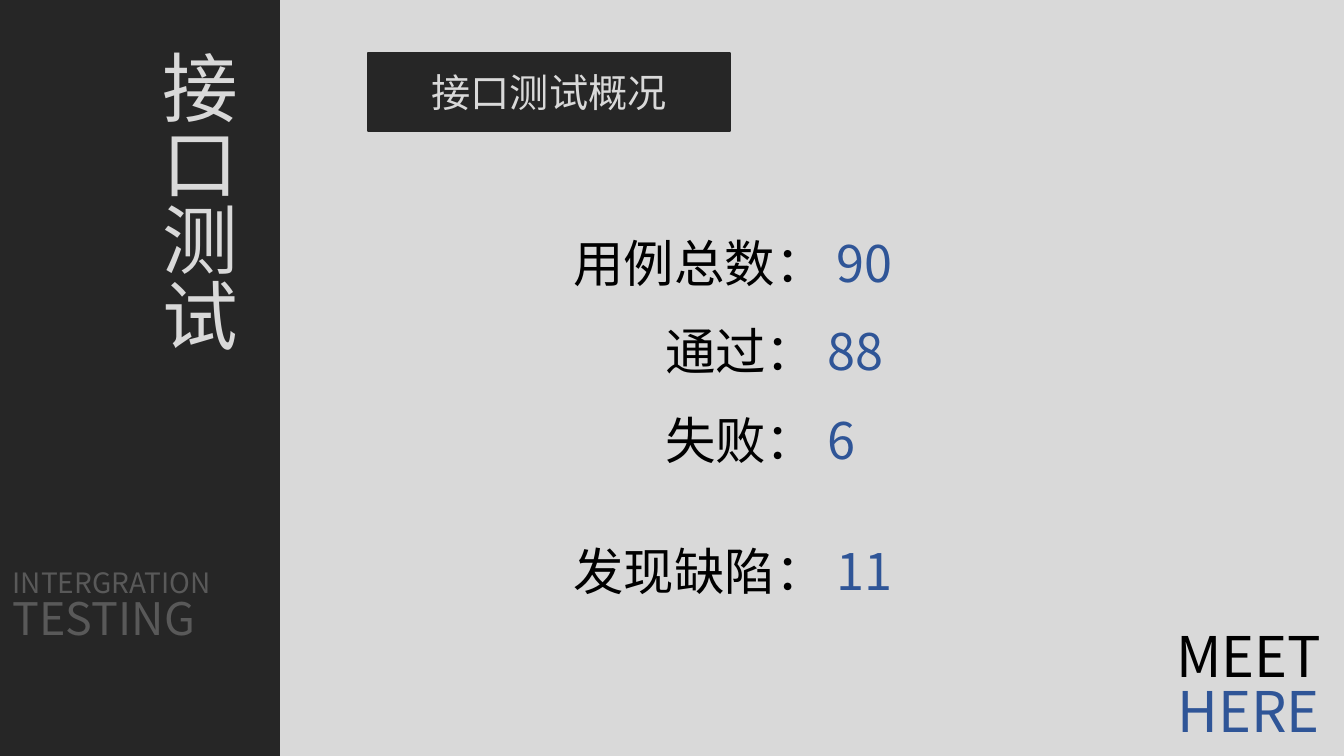
from pptx import Presentation
from pptx.dml.color import RGBColor
from pptx.enum.shapes import MSO_SHAPE as Preset
from pptx.enum.text import MSO_ANCHOR as Anchor, PP_ALIGN as Align
from pptx.oxml.ns import qn
from pptx.util import Pt

FONT = "Noto Sans CJK SC"
LIGHT = RGBColor(0xD9, 0xD9, 0xD9)
DARK = RGBColor(0x26, 0x26, 0x26)
GREY = RGBColor(0x59, 0x59, 0x59)
BLACK = RGBColor(0, 0, 0)
BLUE = RGBColor(0x2F, 0x55, 0x97)

presentation = Presentation()
presentation.slide_width, presentation.slide_height = Pt(960), Pt(540)
slide = presentation.slides.add_slide(presentation.slide_layouts[6])
slide.background.fill.solid()
slide.background.fill.fore_color.rgb = LIGHT


def write(shape, lines, align=Align.LEFT, anchor=Anchor.TOP):
    """Fill a shape with lines, each a list of (text, size, colour) runs."""
    frame = shape.text_frame
    shift = 0.08 * lines[0][0][1]  # tight lines sit high, so lower them
    layout = {
        "word_wrap": True,
        "vertical_anchor": anchor,
        "margin_top": Pt(3.6 + shift),
        "margin_bottom": Pt(max(0, 3.6 - shift)),
    }
    for name, value in layout.items():
        setattr(frame, name, value)
    for index, runs in enumerate(lines):
        paragraph = frame.add_paragraph() if index else frame.paragraphs[0]
        paragraph.alignment = align
        paragraph.line_spacing = 0.84
        for text, size, colour in runs:
            run = paragraph.add_run()
            run.text = text
            run.font.name = FONT
            run.font.size = Pt(size)
            run.font.color.rgb = colour
            east_asian = run.font._element.makeelement(qn("a:ea"), {"typeface": FONT})
            run.font._element.find(qn("a:latin")).addnext(east_asian)


def add_panel(left, top, width, height):
    panel = slide.shapes.add_shape(
        Preset.RECTANGLE, Pt(left), Pt(top), Pt(width), Pt(height))
    panel.shadow.inherit = False
    panel.fill.solid()
    panel.fill.fore_color.rgb = DARK
    panel.line.color.rgb = DARK
    panel.line.width = Pt(1)
    return panel


add_panel(0, 0, 199.5, 540)
heading = add_panel(263, 38, 258.5, 55.5)
write(heading, [[("接口测试概况", 28, LIGHT)]], Align.CENTER, Anchor.MIDDLE)

# Left, top, width, height, alignment, lines
texts = [
    (800.5, 445, 183, 55.5, Align.CENTER, [[("MEET", 40, BLACK)]]),
    (782.5, 484.5, 219, 55.5, Align.CENTER, [[("HERE", 40, BLUE)]]),
    (107, 31.5, 72, 269.5, Align.CENTER, [[("接口测试", 54, LIGHT)]]),
    (2, 402.5, 283, 70.5, Align.LEFT,
     [[("INTERGRATION", 20, GREY)], [("TESTING", 32, GREY)]]),
]
results = [
    ("用例总数： ", "90", 402.5, 166.5),
    ("通过： ", "88", 468, 229),
    ("失败： ", "6", 468, 292.5),
    ("发现缺陷： ", "11", 402.5, 386.5),
]
for label, count, left, top in results:
    runs = [(label, 36, BLACK), (count, 36, BLUE)]
    texts.append((left, top, 258.5, 51, Align.LEFT, [runs]))

for left, top, width, height, align, lines in texts:
    box = slide.shapes.add_textbox(Pt(left), Pt(top), Pt(width), Pt(height))
    write(box, lines, align)

presentation.save("out.pptx")
